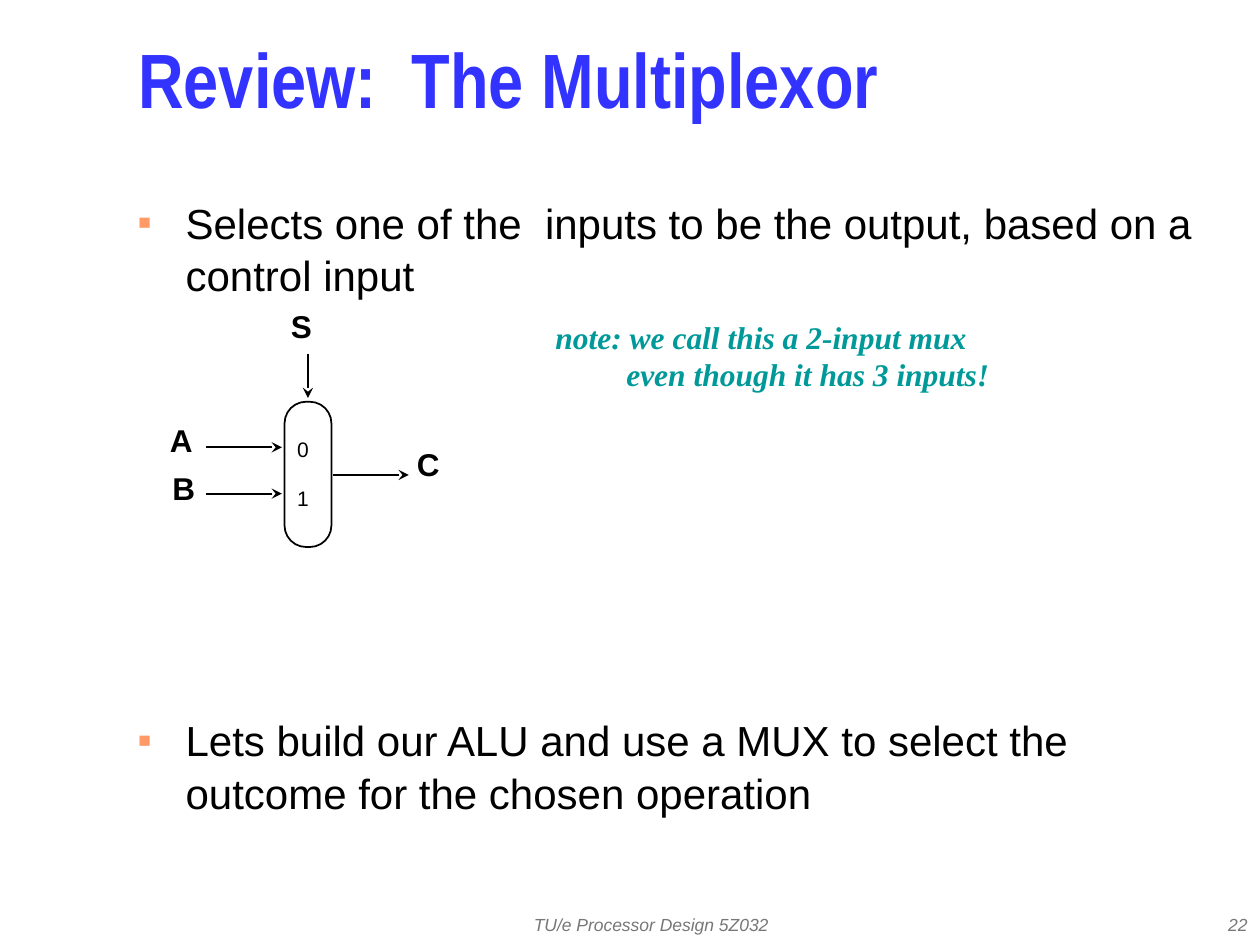
from lxml import etree
from pptx import Presentation
from pptx.dml.color import RGBColor
from pptx.enum import shapes, text
from pptx.oxml import ns
from pptx.util import Pt

BLACK = RGBColor(0, 0, 0)
WHITE = RGBColor(255, 255, 255)
BLUE = RGBColor(0x33, 0x33, 0xFF)
TEAL = RGBColor(0, 0x99, 0x99)
GRAY = RGBColor(0x77, 0x77, 0x77)
ORANGE = RGBColor(0xFF, 0x99, 0x66)
MID = text.MSO_ANCHOR.MIDDLE
TOP = text.MSO_ANCHOR.TOP
ALIGN = text.PP_ALIGN


def add_xml(node, tag, **attrs):
    """Append a drawing element and return it."""
    return etree.SubElement(node, ns.qn(tag), attrs)


def write(slide, box, lines, size=18, font="Arial", color=BLACK, bold=False,
          italic=False, align=ALIGN.LEFT, anchor=TOP, inset=(7.2, 3.6),
          space=None, before=0, after=0):
    """Place a text box with one paragraph per line and return its paragraphs."""
    frame = slide.shapes.add_textbox(*map(Pt, box)).text_frame
    frame.word_wrap = True
    frame.vertical_anchor = anchor
    frame.margin_left = frame.margin_right = Pt(inset[0])
    frame.margin_top = frame.margin_bottom = Pt(inset[1])
    for i, line in enumerate(lines):
        par = frame.paragraphs[0] if i == 0 else frame.add_paragraph()
        par.text = line
        par.alignment = align
        par.line_spacing = space
        par.space_before, par.space_after = Pt(before), Pt(after)
        for run in par.runs:
            run.font.size, run.font.name = Pt(size), font
            run.font.bold, run.font.italic = bold, italic
            run.font.color.rgb = color
    return frame.paragraphs


def add_title(slide, box):
    """Write the heading."""
    write(slide, box, ["Review:  The Multiplexor"], size=44, bold=True,
          font="Arial Narrow", color=BLUE, anchor=MID, space=0.7)


def add_body(slide, box):
    """Write the two bullets, with room for the diagram between them."""
    pars = write(slide, box, [
        "Selects one of the  inputs to be the output, based on a control input",
        "Lets build our ALU and use a MUX to select the\v"
        "outcome for the chosen operation"], size=24, space=1.04, before=6)
    pars[1].space_before = Pt(236)
    for par in pars:
        props = par._p.get_or_add_pPr()
        props.set("marL", str(Pt(27)))
        props.set("indent", str(-Pt(27)))
        tint = add_xml(props, "a:buClr")
        add_xml(tint, "a:srgbClr", val=str(ORANGE))
        add_xml(props, "a:buSzPct", val="50000")
        add_xml(props, "a:buFont", typeface="Arial")
        add_xml(props, "a:buChar", char="■")


def add_arrow(slide, x, y, dx, dy):
    """Draw a stealth-headed arrow from a point by an offset."""
    line = slide.shapes.add_connector(
        shapes.MSO_CONNECTOR.STRAIGHT, Pt(x), Pt(y), Pt(x + dx), Pt(y + dy))
    line.line.color.rgb, line.line.width = BLACK, Pt(1)
    add_xml(line.line._get_or_add_ln(), "a:tailEnd", type="stealth")
    add_xml(line._element.spPr, "a:effectLst")


def add_mux(slide, box):
    """Draw the multiplexor with its inputs, control and output."""
    x, y, w, h = box
    body = slide.shapes.add_shape(
        shapes.MSO_SHAPE.ROUNDED_RECTANGLE, *map(Pt, box))
    body.adjustments[0] = 0.46
    body.shadow.inherit = False
    body.fill.solid()
    body.fill.fore_color.rgb = WHITE
    body.line.color.rgb, body.line.width = BLACK, Pt(1)
    for dx, dy, run, drop in ((-44.7, 26, 43.2, 0), (-44.7, 52.5, 43.2, 0),
                              (w / 2, -27.4, 0, 25.2), (w + 1, 41.8, 43.2, 0)):
        add_arrow(slide, x + dx, y + dy, run, drop)
    for name, dx, dy in (("S", 2.2, -61.9), ("C", 74.2, 17.3),
                         ("A", -66.9, 3.6), ("B", -65.5, 31)):
        write(slide, (x + dx, y + dy, 45, 48), [name], bold=True,
              inset=(1.4, 2.2), space=Pt(27), before=6, after=6)
    for i in range(2):
        write(slide, (x + 5.8, y + 18 + 28 * i, 40, 24), [str(i)], size=12,
              inset=(1.4, 2.2), space=Pt(14))


def add_note(slide, box):
    """Write the remark, with its second line set in."""
    pars = write(slide, box, ["note: we call this a 2-input mux",
                              "even though it has 3 inputs!"],
                 font="Times New Roman", color=TEAL, bold=True, italic=True)
    pars[1]._p.get_or_add_pPr().set("marL", str(Pt(40.5)))


def add_footer(slide, box):
    """Write the course name and the slide number."""
    x, y, w, h = box
    look = dict(size=10, color=GRAY, italic=True, anchor=MID)
    write(slide, (x, y, 228, h), ["TU/e Processor Design 5Z032"],
          align=ALIGN.CENTER, **look)
    write(slide, (x + w - 150, y, 150, h), ["22"], align=ALIGN.RIGHT, **look)


def main():
    """Build and save the slide."""
    deck = Presentation()
    deck.slide_width, deck.slide_height = Pt(720), Pt(540)
    slide = deck.slides.add_slide(deck.slide_layouts[6])
    add_footer(slide, (258, 516, 462, 24))
    add_body(slide, (72, 108, 618, 372))
    add_mux(slide, (162.6, 229.6, 26.8, 83))
    add_title(slide, (72, 12, 618, 78))
    add_note(slide, (310.3, 178, 275, 50))
    deck.save("out.pptx")


if __name__ == "__main__":
    main()
